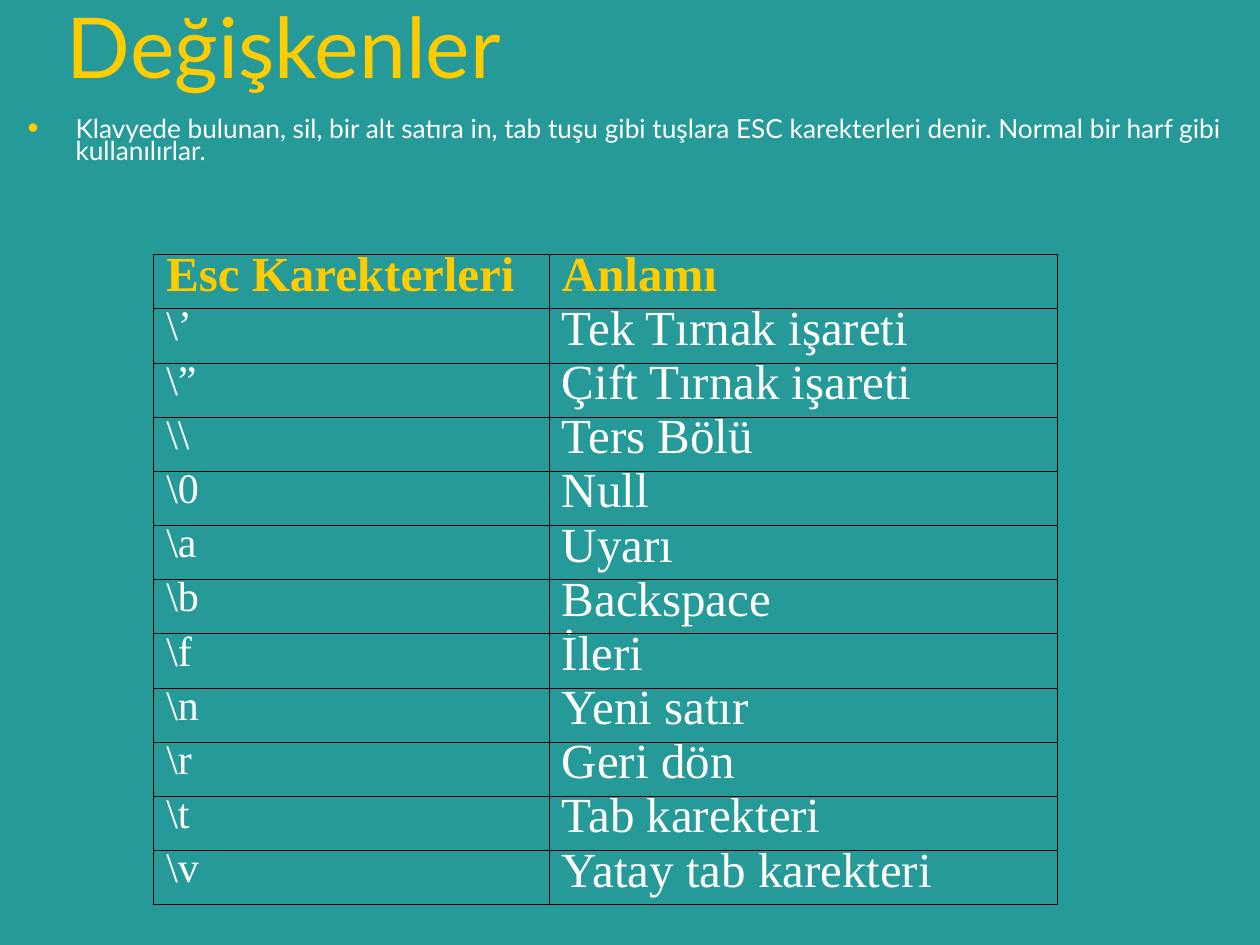
import dataclasses

import lxml.etree
import pptx
import pptx.dml.color
import pptx.enum.text
import pptx.oxml.ns
import pptx.util

Inches = pptx.util.Inches
qn = pptx.oxml.ns.qn


@dataclasses.dataclass(frozen=True)
class Theme:
    background: str = "269999"
    accent: str = "FFCC00"
    text: str = "FFFFFF"
    border: str = "000000"
    border_width: float = 0.45
    sans: str = "Lato"
    serif: str = "Times New Roman"
    title_size: int = 48
    body_size: int = 15
    code_size: int = 24
    cell_size: int = 28
    indent: float = 0.38
    line_spacing: float = 0.7


def rgb(value):
    return pptx.dml.color.RGBColor.from_string(value)


def add_element(parent, tag, **attributes):
    element = lxml.etree.SubElement(parent, qn(tag))
    for name, value in attributes.items():
        element.set(name, str(value))
    return element


class Builder:
    def __init__(self, prs, theme):
        self.theme = theme
        self.s = prs.slides.add_slide(prs.slide_layouts[1])
        fill = self.s.background.fill
        fill.solid()
        fill.fore_color.rgb = rgb(theme.background)

    def place(self, sp, box):
        for name, value in zip(("left", "top", "width", "height"), box):
            setattr(sp, name, Inches(value))

    def add_text(self, p, text, size, color, name, bold=False):
        r = p.add_run()
        r.text = text
        style = {"size": pptx.util.Pt(size), "name": name, "bold": bold}
        for key, value in style.items():
            setattr(r.font, key, value)
        r.font.color.rgb = rgb(color)

    def hang(self, p):
        indent = Inches(self.theme.indent)
        p_pr = p._p.get_or_add_pPr()
        p_pr.set("marL", str(indent))
        p_pr.set("indent", str(-indent))
        p.line_spacing = self.theme.line_spacing
        return p_pr

    def frame(self, sp, box, anchor):
        self.place(sp, box)
        tf = sp.text_frame
        settings = {
            "word_wrap": True,
            "auto_size": pptx.enum.text.MSO_AUTO_SIZE.NONE,
            "vertical_anchor": anchor,
        }
        for key, value in settings.items():
            setattr(tf, key, value)
        p = tf.paragraphs[0]
        p.alignment = pptx.enum.text.PP_ALIGN.LEFT
        p.space_before = pptx.util.Pt(0)
        return p

    def title(self, text, box):
        p = self.frame(self.s.shapes.title, box, pptx.enum.text.MSO_ANCHOR.MIDDLE)
        self.add_text(p, text, self.theme.title_size, self.theme.accent, self.theme.sans)

    def bullet(self, text, box):
        p = self.frame(self.s.placeholders[1], box, pptx.enum.text.MSO_ANCHOR.TOP)
        p_pr = self.hang(p)
        color = add_element(p_pr, "a:buClr")
        add_element(color, "a:srgbClr", val=self.theme.accent)
        add_element(p_pr, "a:buSzPct", val=120000)
        add_element(p_pr, "a:buChar", char="•")
        self.add_text(p, text, self.theme.body_size, self.theme.text, self.theme.sans)

    def borders(self, cell):
        tc_pr = cell._tc.get_or_add_tcPr()
        width = pptx.util.Pt(self.theme.border_width)
        for side in ("a:lnL", "a:lnR", "a:lnT", "a:lnB"):
            line = add_element(tc_pr, side, w=width)
            fill = add_element(line, "a:solidFill")
            add_element(fill, "a:srgbClr", val=self.theme.border)

    def table(self, rows, left, top, widths, row_height):
        box = (left, top, sum(widths), row_height * len(rows))
        sp = self.s.shapes.add_table(len(rows), len(widths), *map(Inches, box))
        table = sp.table
        table.first_row = False
        table.horz_banding = False
        for column, width in zip(table.columns, widths):
            column.width = Inches(width)
        for i, row in enumerate(rows):
            table.rows[i].height = Inches(row_height)
            for j, text in enumerate(row):
                header = i == 0
                cell = table.cell(i, j)
                self.borders(cell)
                cell.fill.background()
                p = cell.text_frame.paragraphs[0]
                self.hang(p)
                size = self.theme.cell_size if header or j else self.theme.code_size
                color = self.theme.accent if header else self.theme.text
                self.add_text(p, text, size, color, self.theme.serif, header)


def main():
    prs = pptx.Presentation()
    prs.slide_width = Inches(10)
    prs.slide_height = Inches(7.5)
    slide = Builder(prs, Theme())
    slide.title("Değişkenler", (0.43, 0, 9, 0.71))
    slide.bullet(
        "Klavyede bulunan, sil, bir alt satıra in, tab tuşu gibi tuşlara ESC "
        "karekterleri denir. Normal bir harf gibi kullanılırlar.",
        (0.12, 0.91, 9.73, 0.47),
    )
    rows = [
        ("Esc Karekterleri", "Anlamı"),
        ("\\’", "Tek Tırnak işareti"),
        ("\\”", "Çift Tırnak işareti"),
        ("\\\\", "Ters Bölü"),
        ("\\0", "Null"),
        ("\\a", "Uyarı"),
        ("\\b", "Backspace"),
        ("\\f", "İleri"),
        ("\\n", "Yeni satır"),
        ("\\r", "Geri dön"),
        ("\\t", "Tab karekteri"),
        ("\\v", "Yatay tab karekteri"),
    ]
    slide.table(rows, 1.22, 2.02, (3.14, 4.03), 0.43)
    prs.save("out.pptx")


if __name__ == "__main__":
    main()
